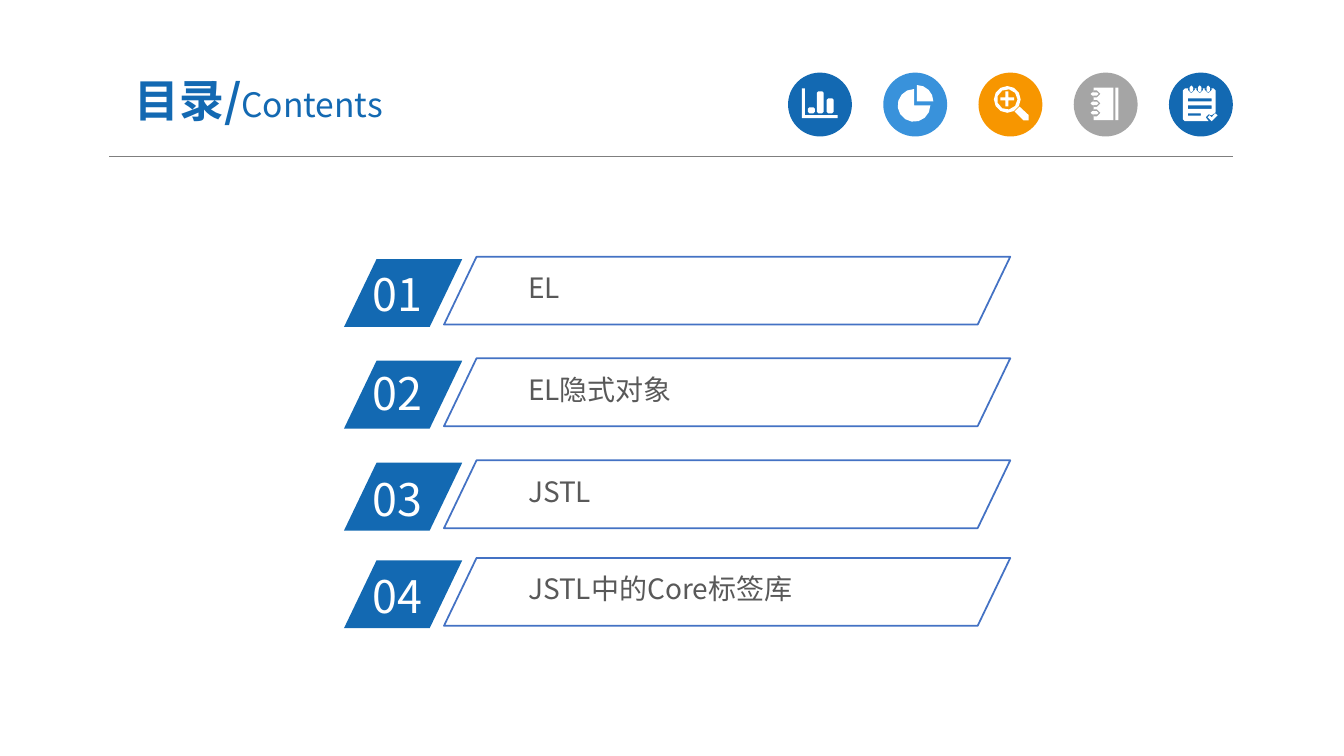
from math import cos, radians, sin

from lxml.etree import SubElement
from pptx import Presentation
from pptx.dml.color import RGBColor
from pptx.enum.shapes import MSO_CONNECTOR as CONNECTOR, MSO_SHAPE as SHAPE
from pptx.enum.text import MSO_ANCHOR as ANCHOR, PP_ALIGN as ALIGN
from pptx.oxml.ns import qn
from pptx.util import Cm, Pt

FONT = "Noto Sans CJK SC"
COLORS = {
    "blue": "1369B2",
    "sky": "3992DB",
    "orange": "F79600",
    "grey": "A5A5A5",
    "white": "FFFFFF",
    "outline": "4472C4",
    "rule": "7F7F7F",
    "text": "595959",
}
TITLE = [("目录/", 32, True), ("Contents", 24, False)]
CHAPTERS = [
    ("01", "EL", 6.53, 6.58),
    ("02", "EL隐式对象", 9.09, 9.09),
    ("03", "JSTL", 11.66, 11.76),
    ("04", "JSTL中的Core标签库", 14.12, 14.2),
]


def arc(x, y, radius, start, end):
    steps = max(1, round(radius * (end - start) / 400))
    angles = [radians(start + (end - start) * step / steps) for step in range(steps + 1)]
    return [(x + radius * cos(a), y + radius * sin(a)) for a in angles]


def rounded(x, y, width, height, radius):
    right, bottom = x + width - radius, y + height - radius
    left, top = x + radius, y + radius
    return (arc(left, top, radius, 180, 270) + arc(right, top, radius, 270, 360)
            + arc(right, bottom, radius, 0, 90) + arc(left, bottom, radius, 90, 180))


def box(x, y, width, height):
    return [(x, y), (x + width, y), (x + width, y + height), (x, y + height)]


bar_chart = [
    [(14, 16), (17, 16), (17, 43), (50, 43), (50, 46), (14, 46)],
    rounded(20, 35, 7, 6, 1.5),
    rounded(29, 19, 7, 22, 1.5),
    rounded(39, 26, 7, 15, 1.5),
]
pie_chart = [
    [(34, 29)] + arc(34, 29, 16.5, -90, 0),
    [(31, 33)] + arc(31, 33, 16.5, 0, 270),
]
magnifier = [
    arc(29, 27, 13.5, 0, 360),
    arc(29, 27, 10.3, 0, 360),
    [(22, 25), (27, 25), (27, 19), (30, 19), (30, 25), (36, 25),
     (36, 28), (30, 28), (30, 34), (27, 34), (27, 28), (22, 28)],
    [(36.3, 39.2), (41.3, 34.2)] + arc(48, 45.5, 3.7, -45, 135),
]
notebook = [box(20, 15, 20, 33), box(42, 15, 3, 33)]
for ring in (21.5, 31, 40.5):
    notebook.append([(20, ring - 3.5)] + arc(23.5, ring, 3.5, -90, 90) + [(20, ring + 3.5)])
    notebook.append(rounded(17, ring - 1.7, 8, 3.4, 1.7))
notepad = [
    arc(16, 18, 2, 180, 270) + arc(45, 18, 2, 270, 360)
    + [(47, 40), (43, 43), (40, 42), (37, 45), (40, 49)] + arc(16, 47, 2, 90, 180),
    box(19, 26, 24, 3),
    box(19, 33, 24, 3.5),
    box(19, 41, 13, 2.4),
    [(39, 45), (41, 43), (43, 45), (46.5, 41), (49, 43), (43, 49)],
]
for ring in (22.5, 31, 39.5):
    notepad.append([(ring - 3.5, 16), (ring + 3.5, 16)] + arc(ring, 17.5, 3.5, 0, 180))
    notepad.append(rounded(ring - 1.7, 13, 3.4, 7, 1.7))

ICONS = [("blue", bar_chart), ("sky", pie_chart), ("orange", magnifier),
         ("grey", notebook), ("blue", notepad)]
ICON_LEFT, ICON_TOP, ICON_SIZE, ICON_PITCH = 19.86, 1.83, 1.61, 2.4
ICON_UNIT = Cm(1) / 40


def rgb(name):
    return RGBColor.from_string(COLORS[name])


def paint(shape, fill=None, line=None):
    shape.shadow.inherit = False
    if fill:
        shape.fill.solid()
        shape.fill.fore_color.rgb = rgb(fill)
    else:
        shape.fill.background()
    if line:
        shape.line.color.rgb = rgb(line)
        shape.line.width = Pt(1.25)
    else:
        shape.line.fill.background()


def add_shape(kind, left, top, width, height, fill=None, line=None):
    shape = slide.shapes.add_shape(kind, Cm(left), Cm(top), Cm(width), Cm(height))
    paint(shape, fill, line)
    return shape


def add_icon(contours, left, top):
    placed = [[(left + x * ICON_UNIT, top + y * ICON_UNIT) for x, y in c] for c in contours]
    builder = slide.shapes.build_freeform(*placed[0][0])
    builder.add_line_segments(placed[0][1:], close=True)
    for contour in placed[1:]:
        builder.move_to(*contour[0])
        builder.add_line_segments(contour[1:], close=True)
    paint(builder.convert_to_shape(), "white")


def add_text(runs, left, top, width, height, color, margins=(0.25, 0.13)):
    frame = slide.shapes.add_textbox(Cm(left), Cm(top), Cm(width), Cm(height)).text_frame
    frame.word_wrap = True
    frame.margin_left = frame.margin_right = Cm(margins[0])
    frame.margin_top = frame.margin_bottom = Cm(margins[1])
    for text, size, bold in runs:
        run = frame.paragraphs[0].add_run()
        run.text = text
        run.font.size = Pt(size)
        run.font.bold = bold
        run.font.color.rgb = rgb(color)
        run.font.name = FONT
        SubElement(run._r.get_or_add_rPr(), qn("a:ea"), typeface=FONT)
    return frame


prs = Presentation()
prs.slide_width, prs.slide_height = Cm(33.87), Cm(19.05)
slide = prs.slides.add_slide(prs.slide_layouts[6])

rule = slide.shapes.add_connector(CONNECTOR.STRAIGHT, Cm(2.75), Cm(3.94), Cm(31.07), Cm(3.94))
rule.line.color.rgb = rgb("rule")
rule.line.width = Pt(0.5)
SubElement(rule._element.spPr, qn("a:effectLst"))

for index, (color, contours) in enumerate(ICONS):
    left = ICON_LEFT + index * ICON_PITCH
    add_shape(SHAPE.OVAL, left, ICON_TOP, ICON_SIZE, ICON_SIZE, color)
    add_icon(contours, Cm(left), Cm(ICON_TOP))

title = add_text(TITLE, 2.34, 1.6, 8.36, 1.83, "blue", (0.33, 0.18))
title.vertical_anchor = ANCHOR.MIDDLE
title.paragraphs[0].alignment = ALIGN.CENTER

for number, label, top, number_top in CHAPTERS:
    badge = add_shape(SHAPE.PARALLELOGRAM, 8.67, top, 2.98, 1.71, "blue")
    add_text([(number, 32, False)], 9.14, number_top, 2.84, 1.63, "white")
    add_text([(label, 20, False)], 13.13, top + 0.19, 10.46, 1.04, "text", (0.18, 0.1))
    frame = add_shape(SHAPE.PARALLELOGRAM, 11.19, top - 0.06, 14.27, 1.71, line="outline")
    badge.adjustments[0] = frame.adjustments[0] = 0.48

prs.save("out.pptx")
